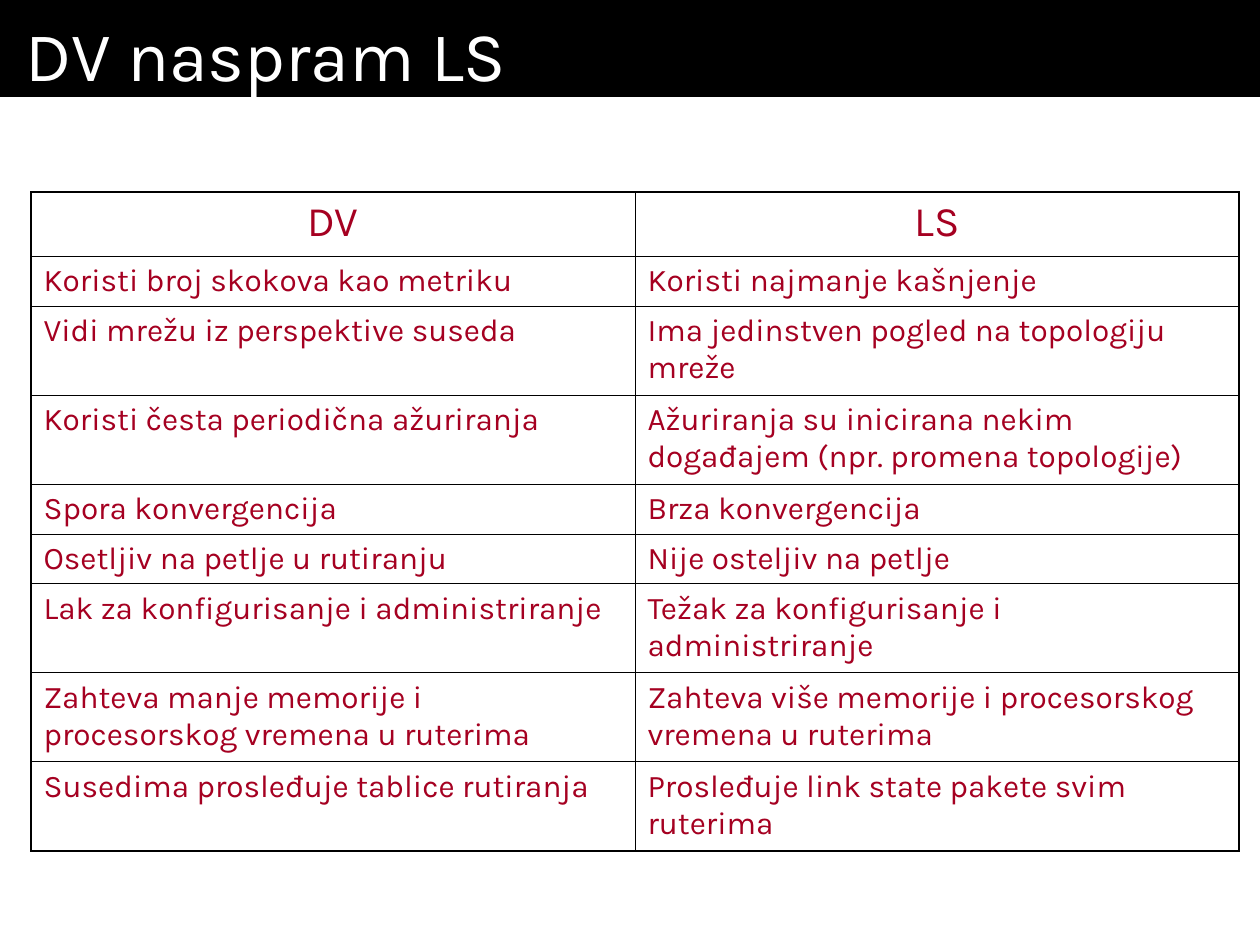
from lxml.etree import SubElement
from pptx import Presentation
from pptx.dml.color import RGBColor
from pptx.enum.text import MSO_ANCHOR, MSO_AUTO_SIZE, PP_ALIGN
from pptx.oxml.ns import qn
from pptx.util import Pt

TITLE = "DV naspram LS"
HEADER = ("DV", "LS")
COMPARISONS = [
    ("Koristi broj skokova kao metriku", "Koristi najmanje kašnjenje"),
    ("Vidi mrežu iz perspektive suseda", "Ima jedinstven pogled na topologiju mreže"),
    ("Koristi česta periodična ažuriranja",
     "Ažuriranja su inicirana nekim događajem (npr. promena topologije)"),
    ("Spora konvergencija", "Brza konvergencija"),
    ("Osetljiv na petlje u rutiranju", "Nije osteljiv na petlje"),
    ("Lak za konfigurisanje i administriranje",
     "Težak za konfigurisanje i administriranje"),
    ("Zahteva manje memorije i procesorskog vremena u ruterima",
     "Zahteva više memorije i procesorskog vremena u ruterima"),
    ("Susedima prosleđuje tablice rutiranja",
     "Prosleđuje link state pakete svim ruterima"),
]
HEADER_HEIGHT, ONE_LINE, TWO_LINES = 64, 50, 89
LINE_CAPACITY = 40  # characters that fit on one line of a cell

FONT = "Karla"
BLACK, WHITE, RED = "000000", "FFFFFF", "A50021"
OUTER_BORDER, INNER_BORDER = 1.08, 0.45
EMU_PER_PX = 914400 / 126


def px(length):
    return round(length * EMU_PER_PX)


def color(value):
    return RGBColor.from_string(value)


def format_paragraph(paragraph, size, text_color, alignment=PP_ALIGN.LEFT):
    paragraph.alignment = alignment
    paragraph.space_before = Pt(0)
    paragraph.font.name = FONT
    paragraph.font.size = Pt(size)
    paragraph.font.bold = False
    paragraph.font.color.rgb = color(text_color)


def set_borders(cell, widths):
    """Draw the left, right, top and bottom borders, given in points."""
    properties = cell._tc.get_or_add_tcPr()
    for position, (side, width) in enumerate(zip("LRTB", widths)):
        line = properties.makeelement(qn(f"a:ln{side}"), {"w": str(Pt(width))})
        fill = SubElement(line, qn("a:solidFill"))
        SubElement(fill, qn("a:srgbClr"), val=BLACK)
        properties.insert(position, line)


def row_height(texts):
    return TWO_LINES if max(map(len, texts)) > LINE_CAPACITY else ONE_LINE


def add_title(slide):
    title = slide.shapes.title
    title.left, title.top, title.width, title.height = px(0), px(0), px(1260), px(97)
    title.fill.solid()
    title.fill.fore_color.rgb = color(BLACK)
    frame = title.text_frame
    frame.text = TITLE
    frame.auto_size = MSO_AUTO_SIZE.NONE
    frame.vertical_anchor = MSO_ANCHOR.TOP
    frame.margin_left = frame.margin_right = px(25)
    frame.margin_top, frame.margin_bottom = px(11), px(4)
    format_paragraph(frame.paragraphs[0], 40, WHITE)


def add_comparison_table(slide):
    rows = [HEADER] + COMPARISONS
    heights = [HEADER_HEIGHT] + [row_height(texts) for texts in COMPARISONS]
    last_row, last_column = len(rows) - 1, len(HEADER) - 1
    table = slide.shapes.add_table(
        len(rows), len(HEADER), px(31), px(192), px(1208), px(sum(heights))
    ).table
    for row, (texts, height) in enumerate(zip(rows, heights)):
        table.rows[row].height = px(height)
        for column, text in enumerate(texts):
            cell = table.cell(row, column)
            cell.text = text
            cell.fill.background()
            on_edge = (column == 0, column == last_column, row == 0, row == last_row)
            set_borders(cell, [OUTER_BORDER if edge else INNER_BORDER for edge in on_edge])
            paragraph = cell.text_frame.paragraphs[0]
            if row == 0:
                format_paragraph(paragraph, 24, RED, PP_ALIGN.CENTER)
            else:
                format_paragraph(paragraph, 18, RED)


def main():
    presentation = Presentation()
    presentation.slide_width, presentation.slide_height = px(1260), px(945)
    slide = presentation.slides.add_slide(presentation.slide_layouts[5])
    add_title(slide)
    add_comparison_table(slide)
    presentation.save("out.pptx")


if __name__ == "__main__":
    main()
